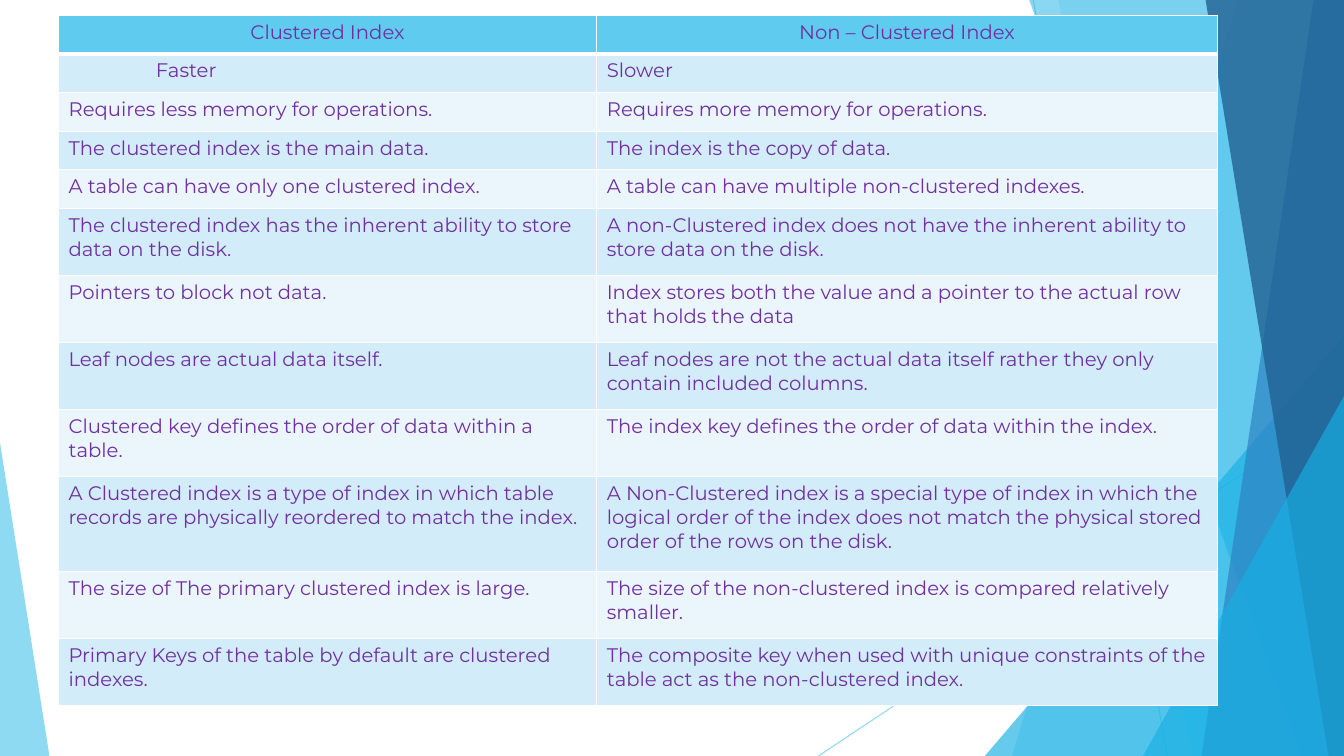
from dataclasses import dataclass

from lxml.etree import SubElement
from pptx import Presentation
from pptx.dml.color import RGBColor
from pptx.enum.shapes import MSO_CONNECTOR, MSO_SHAPE
from pptx.enum.text import PP_ALIGN
from pptx.oxml.ns import qn
from pptx.util import Inches, Pt

SLIDE_WIDTH = Inches(13.33)
SLIDE_HEIGHT = Inches(7.5)
FONT = "Montserrat"
PURPLE = "7030A0"
WHITE = "FFFFFF"
SKY = "5FCBEF"
CYAN = "17B0E4"
BANDS = ("EAF6FC", "D2ECF9")
COLUMN_SHARES = (40.05, 46.2)
TABLE_LEFT, TABLE_TOP, TABLE_HEIGHT = 4.35, 2, 91.33
ROW_PADDING_LINES = 0.37
FASTER_INDENT = 6.5


@dataclass(frozen=True)
class Ray:
    start: tuple[float, float]
    end: tuple[float, float]


@dataclass(frozen=True)
class Facet:
    top_left: float
    bottom_left: float
    color: str
    opacity: int


@dataclass(frozen=True)
class Wedge:
    left: float
    top: float
    width: float
    apex: int
    color: str
    opacity: int


@dataclass(frozen=True)
class Comparison:
    clustered: str
    non_clustered: str
    lines: int = 1


RAYS = (Ray((76.88, 0), (86.85, 100)), Ray((100, 53.73), (60.9, 100)))
DECORATIONS = (
    Facet(92.1, 75.3, SKY, 36),
    Facet(78.75, 88.73, SKY, 20),
    Wedge(73.28, 44.4, 26.72, 1, CYAN, 66),
    Facet(76.58, 96.83, CYAN, 50),
    Facet(97.73, 89.4, "2E83C3", 70),
    Facet(89.7, 98.85, "226292", 80),
    Wedge(85.05, 52.4, 14.95, 1, CYAN, 66),
    Wedge(0, 58.53, 3.68, 0, SKY, 70),
)
COMPARISONS = (
    Comparison("Clustered Index", "Non – Clustered Index"),
    Comparison("Faster", "Slower"),
    Comparison("Requires less memory for operations.", "Requires more memory for operations."),
    Comparison("The clustered index is the main data.", "The index is the copy of data."),
    Comparison(
        "A table can have only one clustered index.",
        "A table can have multiple non-clustered indexes.",
    ),
    Comparison(
        "The clustered index has the inherent ability to store data on the disk.",
        "A non-Clustered index does not have the inherent ability to store data on the disk.",
        2,
    ),
    Comparison(
        "Pointers to block not data.",
        "Index stores both the value and a pointer to the actual row that holds the data",
        2,
    ),
    Comparison(
        "Leaf nodes are actual data itself.",
        "Leaf nodes are not the actual data itself rather they only contain included columns.",
        2,
    ),
    Comparison(
        "Clustered key defines the order of data within a table.",
        "The index key defines the order of data within the index.",
        2,
    ),
    Comparison(
        "A Clustered index is a type of index in which table records are physically "
        "reordered to match the index.",
        "A Non-Clustered index is a special type of index in which the logical order of "
        "the index does not match the physical stored order of the rows on the disk.",
        3,
    ),
    Comparison(
        "The size of The primary clustered index is large.",
        "The size of the non-clustered index is compared relatively smaller.",
        2,
    ),
    Comparison(
        "Primary Keys of the table by default are clustered indexes.",
        "The composite key when used with unique constraints of the table act as the "
        "non-clustered index.",
        2,
    ),
)


def across(percent: float) -> int:
    return round(SLIDE_WIDTH * percent / 100)


def down(percent: float) -> int:
    return round(SLIDE_HEIGHT * percent / 100)


def paint(fill, color: str) -> None:
    fill.solid()
    fill.fore_color.rgb = RGBColor.from_string(color)


def set_opacity(element, percent: int) -> None:
    color = next(element.iter(qn("a:srgbClr")))
    SubElement(color, qn("a:alpha"), val=str(percent * 1000))


def draw_ray(page, ray: Ray) -> None:
    line = page.shapes.add_connector(
        MSO_CONNECTOR.STRAIGHT,
        across(ray.start[0]), down(ray.start[1]), across(ray.end[0]), down(ray.end[1]),
    )
    line.line.width = Pt(0.75)
    paint(line.line.fill, SKY)
    properties = line._element.spPr
    set_opacity(properties, 70)
    SubElement(properties, qn("a:effectLst"))


def draw_decoration(page, item: Facet | Wedge) -> None:
    if isinstance(item, Facet):
        builder = page.shapes.build_freeform(across(item.top_left), 0)
        builder.add_line_segments(
            [(SLIDE_WIDTH, 0), (SLIDE_WIDTH, SLIDE_HEIGHT), (across(item.bottom_left), SLIDE_HEIGHT)]
        )
        shape = builder.convert_to_shape()
    else:
        shape = page.shapes.add_shape(
            MSO_SHAPE.ISOSCELES_TRIANGLE,
            across(item.left), down(item.top), across(item.width), down(100 - item.top),
        )
        shape.adjustments[0] = item.apex
    shape.shadow.inherit = False
    shape.line.fill.background()
    paint(shape.fill, item.color)
    set_opacity(shape._element.spPr, item.opacity)


def format_cell(cell, text: str, row: int) -> None:
    properties = cell._tc.get_or_add_tcPr()
    for side in "LRTB":
        heavy = (row == 0 and side == "B") or (row == 1 and side == "T")
        border = SubElement(properties, qn(f"a:ln{side}"), w=str(Pt(3 if heavy else 1)))
        SubElement(SubElement(border, qn("a:solidFill")), qn("a:srgbClr"), val=WHITE)
    paint(cell.fill, BANDS[row % 2] if row else SKY)
    cell.text_frame.text = text
    para = cell.text_frame.paragraphs[0]
    para.alignment = PP_ALIGN.LEFT if row else PP_ALIGN.CENTER
    if text == "Faster":
        para._p.get_or_add_pPr().set("marL", str(across(FASTER_INDENT)))
    font = para.runs[0].font
    font.name = FONT
    font.size = Pt(14)
    font.bold = False
    font.color.rgb = RGBColor.from_string(PURPLE)


def draw_table(page) -> None:
    table = page.shapes.add_table(
        len(COMPARISONS), len(COLUMN_SHARES), across(TABLE_LEFT), down(TABLE_TOP),
        across(sum(COLUMN_SHARES)), down(TABLE_HEIGHT),
    ).table
    table.first_row = table.horz_banding = False
    for column, share in zip(table.columns, COLUMN_SHARES):
        column.width = across(share)
    total = sum(item.lines + ROW_PADDING_LINES for item in COMPARISONS)
    for row, item in enumerate(COMPARISONS):
        table.rows[row].height = down(TABLE_HEIGHT * (item.lines + ROW_PADDING_LINES) / total)
        for column, text in enumerate((item.clustered, item.non_clustered)):
            format_cell(table.cell(row, column), text, row)


def main() -> None:
    deck = Presentation()
    deck.slide_width, deck.slide_height = SLIDE_WIDTH, SLIDE_HEIGHT
    page = deck.slides.add_slide(deck.slide_layouts[6])
    paint(page.background.fill, WHITE)
    for ray in RAYS:
        draw_ray(page, ray)
    for item in DECORATIONS:
        draw_decoration(page, item)
    draw_table(page)
    deck.save("out.pptx")


if __name__ == "__main__":
    main()
